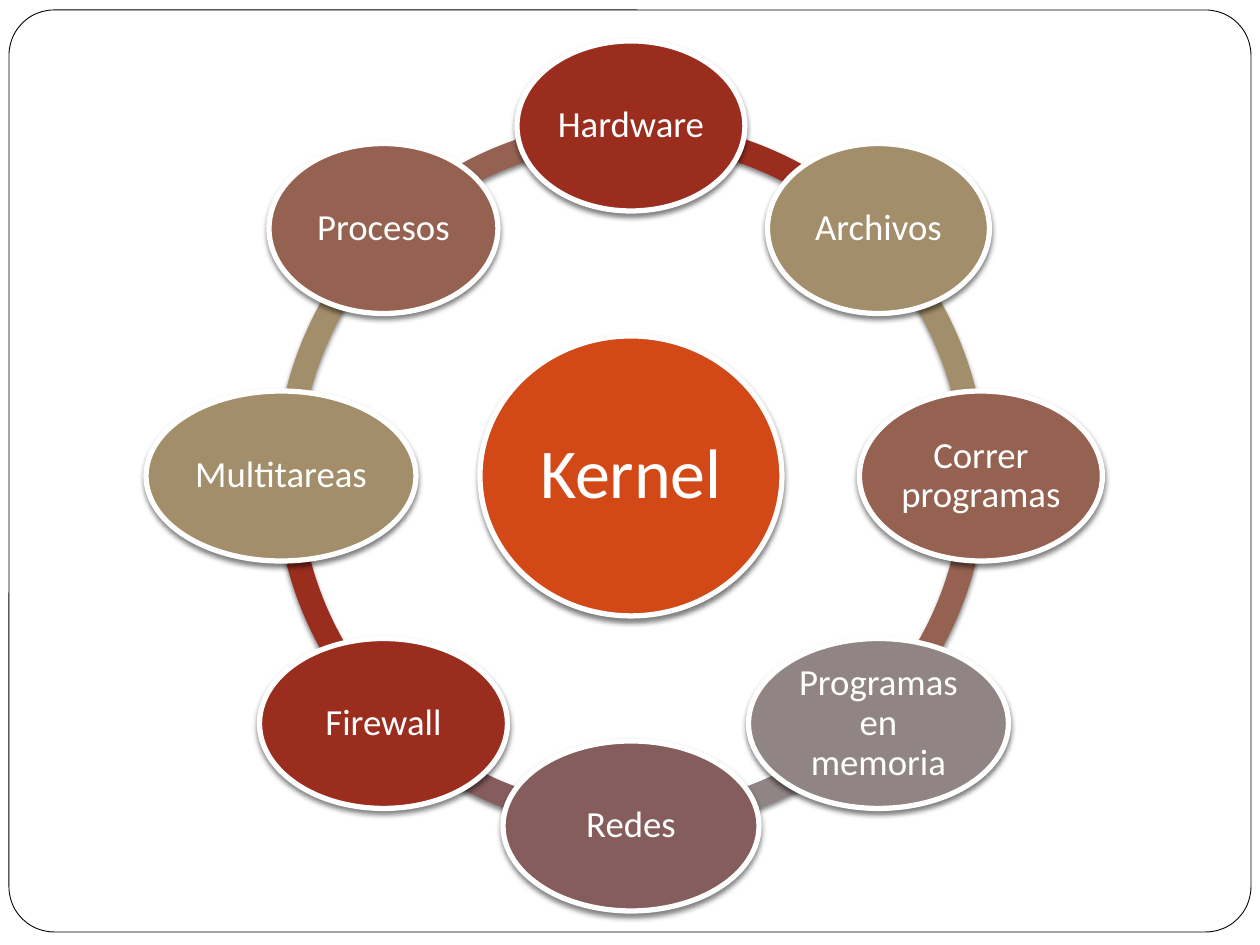
from dataclasses import dataclass
from math import cos, radians, sin

from lxml.etree import SubElement
from pptx import Presentation
from pptx.dml.color import RGBColor
from pptx.enum.shapes import MSO_SHAPE as Shape
from pptx.enum.text import MSO_ANCHOR as Anchor, PP_ALIGN as Align
from pptx.oxml.ns import qn
from pptx.util import Pt

PX = 7257  # EMU per px, at 126 px to the inch
WHITE = RGBColor(0xFF, 0xFF, 0xFF)
BLACK = RGBColor(0x00, 0x00, 0x00)
ORANGE = RGBColor(0xD3, 0x48, 0x17)
RED = RGBColor(0x9B, 0x2D, 0x1F)
SAND = RGBColor(0xA2, 0x8E, 0x6A)
BROWN = RGBColor(0x95, 0x62, 0x51)
GREY = RGBColor(0x91, 0x84, 0x85)
MAUVE = RGBColor(0x85, 0x5D, 0x5D)

CX, CY = 631, 476
ORBIT = 350
RING_SIZE = 711
RING_THICKNESS = 0.034
NODE_HEIGHT = 170


@dataclass
class Node:
    text: str
    width: int
    color: RGBColor


# Clockwise from the top
NODES = [
    Node("Hardware", 228, RED),
    Node("Archivos", 222, SAND),
    Node("Correr programas", 243, BROWN),
    Node("Programas en memoria", 260, GREY),
    Node("Redes", 256, MAUVE),
    Node("Firewall", 248, RED),
    Node("Multitareas", 270, SAND),
    Node("Procesos", 229, BROWN),
]
STEP = 360 // len(NODES)


def add_shadow(s) -> None:
    effects = s._element.spPr.find(qn("a:effectLst"))
    shadow = SubElement(effects, qn("a:outerShdw"), blurRad=str(Pt(3)),
                        dist=str(Pt(2)), dir="5400000", rotWithShape="0")
    color = SubElement(shadow, qn("a:srgbClr"), val=str(BLACK))
    SubElement(color, qn("a:alpha"), val="50000")


def add_centered(shapes, kind, cx: float, cy: float, width: int, height: int,
                 fill: RGBColor, line: RGBColor | None = None,
                 weight: float = 3, shadow: bool = True):
    s = shapes.add_shape(kind, round((cx - width / 2) * PX),
                         round((cy - height / 2) * PX), width * PX, height * PX)
    s.shadow.inherit = False
    s.fill.solid()
    s.fill.fore_color.rgb = fill
    if line is None:
        s.line.fill.background()
    else:
        s.line.color.rgb = line
        s.line.width = Pt(weight)
    if shadow:
        add_shadow(s)
    return s


def write(s, text: str, *, size: int, inset: int, color: RGBColor = WHITE,
          font: str = "Calibri") -> None:
    tf = s.text_frame
    tf.word_wrap = True
    tf.vertical_anchor = Anchor.MIDDLE
    tf.margin_left = tf.margin_right = inset * PX
    tf.margin_top = tf.margin_bottom = inset * PX
    p = tf.paragraphs[0]
    p.alignment = Align.CENTER
    p.line_spacing = 0.9
    r = p.add_run()
    r.text = text
    r.font.size = Pt(size)
    r.font.name = font
    r.font.color.rgb = color


def add_arc(shapes, start: int, color: RGBColor) -> None:
    s = add_centered(shapes, Shape.BLOCK_ARC, CX, CY, RING_SIZE, RING_SIZE, color)
    # Angle adjustments count 0.6 to the degree
    s.adjustments[0] = start % 360 * 0.6
    s.adjustments[1] = (start + STEP) % 360 * 0.6
    s.adjustments[2] = RING_THICKNESS


def add_node(shapes, node: Node, angle: int) -> None:
    cx = CX + ORBIT * cos(radians(angle))
    cy = CY + ORBIT * sin(radians(angle))
    s = add_centered(shapes, Shape.OVAL, cx, cy, node.width, NODE_HEIGHT,
                     node.color, WHITE)
    write(s, node.text, size=21, inset=4)


def main() -> None:
    prs = Presentation()
    prs.slide_width, prs.slide_height = 1260 * PX, 945 * PX
    slide = prs.slides.add_slide(prs.slide_layouts[6])

    # Page frame
    frame = add_centered(slide.shapes, Shape.ROUNDED_RECTANGLE, 630, 471,
                         1242, 922, WHITE, BLACK, weight=0.5, shadow=False)
    frame.adjustments[0] = 0.049

    # Ring segments, each in the colour of the node it leaves
    cycle = slide.shapes.add_group_shape().shapes
    angles = [270 + i * STEP for i in range(len(NODES))]
    for node, angle in reversed(list(zip(NODES, angles))):
        add_arc(cycle, angle, node.color)

    # Centre and surrounding nodes
    kernel = add_centered(cycle, Shape.OVAL, CX, CY, 302, 280, ORANGE, WHITE)
    write(kernel, "Kernel", size=40, inset=8)
    for node, angle in zip(NODES, angles):
        add_node(cycle, node, angle)

    prs.save("out.pptx")


if __name__ == "__main__":
    main()
